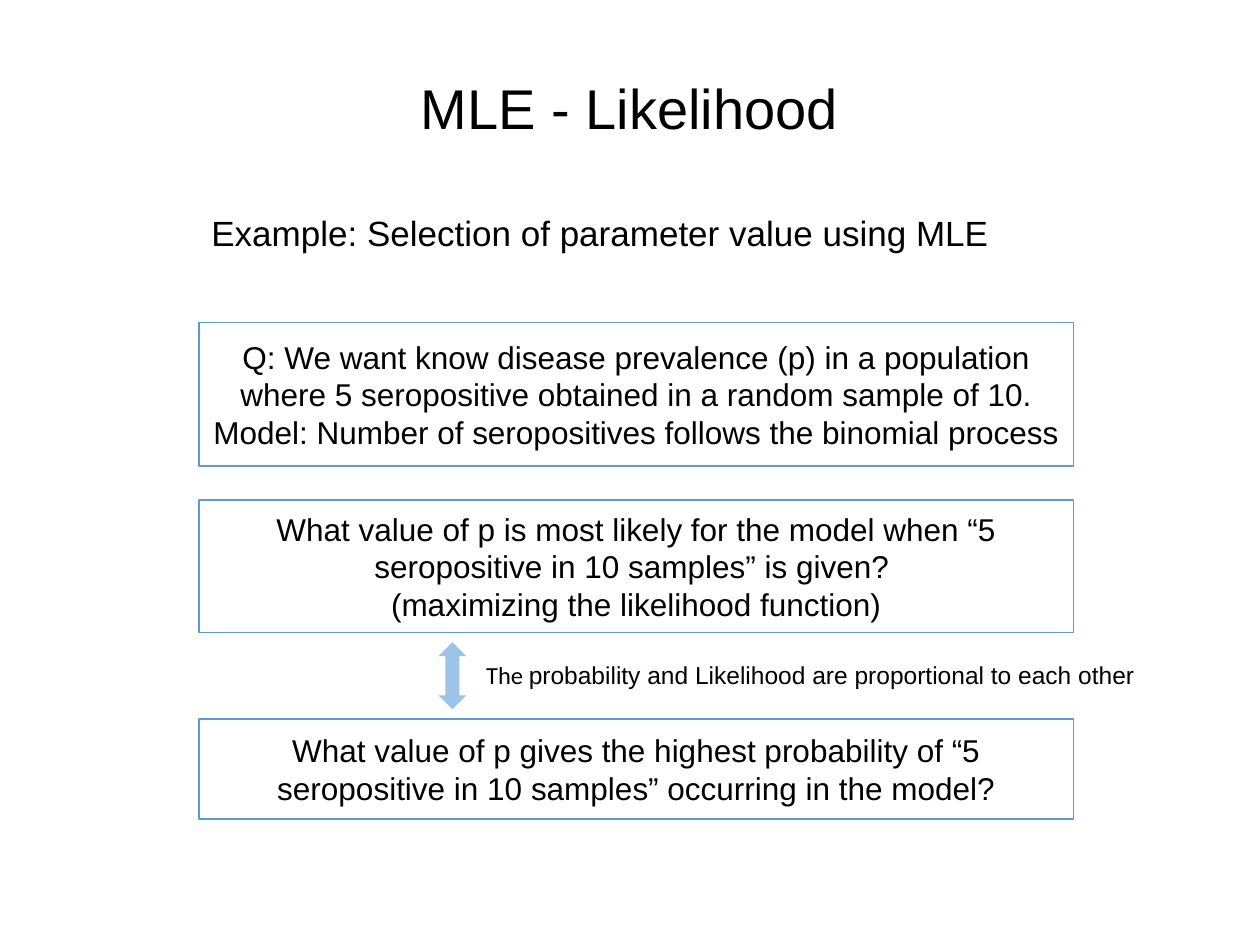
from pptx import Presentation
from pptx.dml.color import RGBColor
from pptx.enum.shapes import MSO_SHAPE
from pptx.enum.text import MSO_ANCHOR, MSO_AUTO_SIZE, PP_ALIGN
from pptx.util import Cm, Pt

BLACK = RGBColor(0x00, 0x00, 0x00)
BLUE = RGBColor(0x5B, 0x9B, 0xD5)
LIGHT_BLUE = RGBColor(0x9D, 0xC3, 0xE6)

BOX_LEFT, BOX_WIDTH = 4.01, 17.63
BOXES = [
    (6.5, 2.9, [
        "Q: We want know disease prevalence (p) in a population where "
        "5 seropositive obtained in a random sample of 10.",
        "Model: Number of seropositives follows the binomial process",
    ]),
    (10.08, 2.67, [
        "What value of p is most likely for the model when "
        "“5 seropositive in 10 samples” is given? ",
        "(maximizing the likelihood function)",
    ]),
    (14.5, 2.01, [
        "What value of p gives the highest probability of "
        "“5 seropositive in 10 samples” occurring in the model?",
    ]),
]


class SlideBuilder:
    font_name = "Arial"
    text_color = BLACK

    def __init__(self, slide):
        self.slide = slide

    def fill_text(self, shape, paragraphs, size, frame_format=None, paragraph_format=None):
        """Fill a shape; each paragraph is a list of (text, font name) runs."""
        text_frame = shape.text_frame
        frame_values = {"word_wrap": True, "vertical_anchor": MSO_ANCHOR.MIDDLE}
        frame_values.update(frame_format or {})
        for name, value in frame_values.items():
            setattr(text_frame, name, value)
        for index, runs in enumerate(paragraphs):
            paragraph = text_frame.add_paragraph() if index else text_frame.paragraphs[0]
            for name, value in (paragraph_format or {}).items():
                setattr(paragraph, name, value)
            for text, font_name in runs:
                run = paragraph.add_run()
                run.text = text
                run.font.color.rgb = self.text_color
                for name, value in {"name": font_name, "size": Pt(size)}.items():
                    setattr(run.font, name, value)

    def text(self, left, top, width, height, runs, size, frame_format=None,
             paragraph_format=None):
        shape = self.slide.shapes.add_textbox(Cm(left), Cm(top), Cm(width), Cm(height))
        self.fill_text(shape, [runs], size, frame_format, paragraph_format)

    def box(self, top, height, lines):
        shape = self.slide.shapes.add_shape(
            MSO_SHAPE.RECTANGLE, Cm(BOX_LEFT), Cm(top), Cm(BOX_WIDTH), Cm(height))
        shape.shadow.inherit = False
        shape.fill.background()
        shape.line.color.rgb = BLUE
        shape.line.width = Pt(1)
        paragraphs = [[(line, self.font_name)] for line in lines]
        self.fill_text(shape, paragraphs, 18,
                       paragraph_format={"alignment": PP_ALIGN.CENTER})

    def double_arrow(self, left, top, width, height):
        shape = self.slide.shapes.add_shape(
            MSO_SHAPE.UP_DOWN_ARROW, Cm(left), Cm(top), Cm(width), Cm(height))
        shape.shadow.inherit = False
        shape.fill.solid()
        shape.fill.fore_color.rgb = LIGHT_BLUE
        shape.line.fill.background()


def main():
    presentation = Presentation()
    presentation.slide_width = Cm(25.4)
    presentation.slide_height = Cm(19.05)
    builder = SlideBuilder(presentation.slides.add_slide(presentation.slide_layouts[6]))

    builder.text(1.75, 1.02, 21.89, 2.44, [("MLE - Likelihood", "Arial")], 32,
                 paragraph_format={"alignment": PP_ALIGN.CENTER, "line_spacing": 0.9})
    builder.text(BOX_LEFT, 3.99, 17.3, 1.4,
                 [("Example: Selection of parameter value using MLE", "Arial")], 20)
    for top, height, lines in BOXES:
        builder.box(top, height, lines)
    builder.text(9.55, 13.18, 13.89, 0.86,
                 [("The ", "Calibri"),
                  ("probability and Likelihood are proportional to each other", "Arial")],
                 14,
                 frame_format={"word_wrap": False, "vertical_anchor": MSO_ANCHOR.TOP,
                               "auto_size": MSO_AUTO_SIZE.SHAPE_TO_FIT_TEXT})
    builder.double_arrow(8.84, 12.95, 0.56, 1.35)

    presentation.save("out.pptx")


if __name__ == "__main__":
    main()
